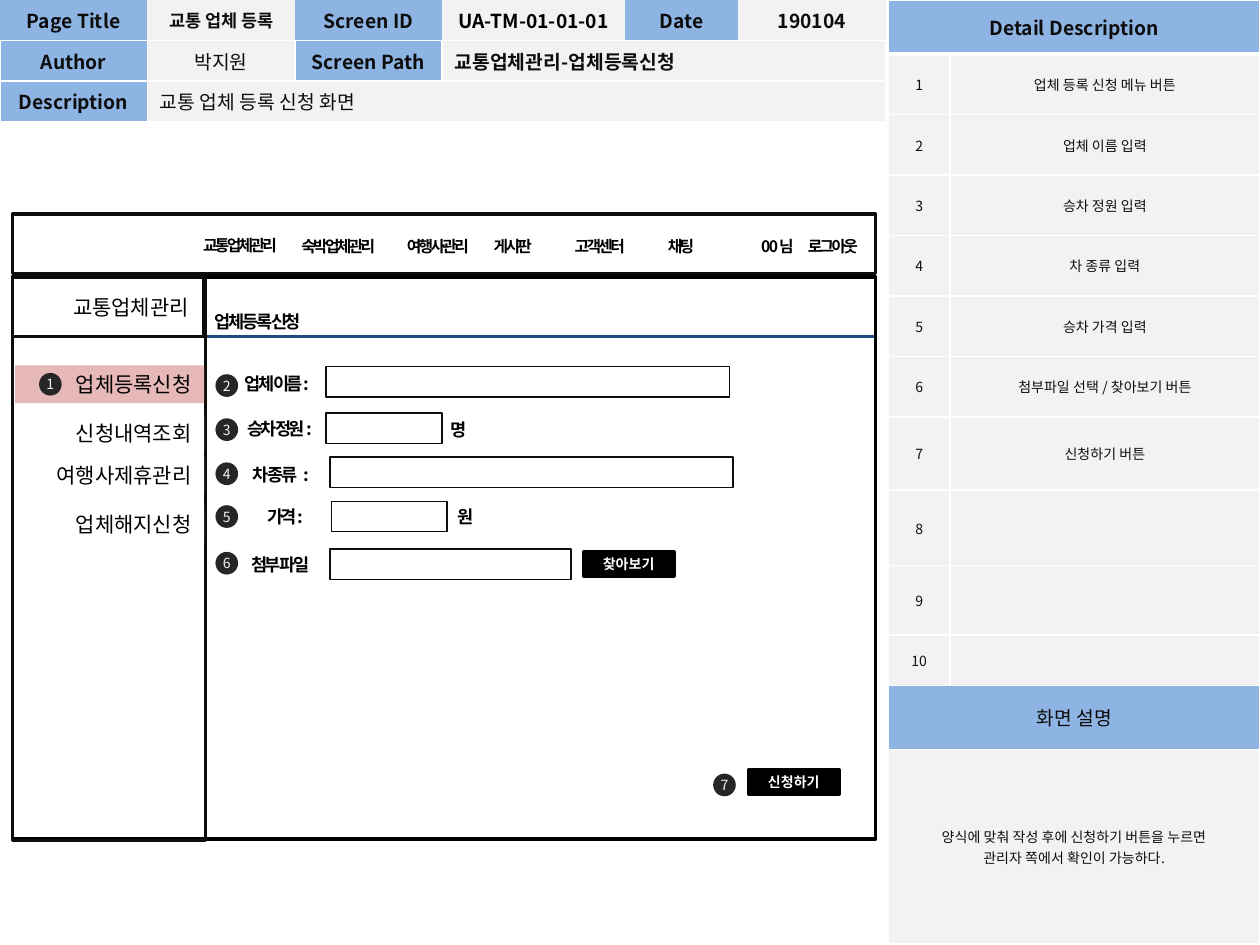
from dataclasses import dataclass

from lxml import etree
from pptx import Presentation
from pptx.dml.color import RGBColor
from pptx.enum.shapes import MSO_CONNECTOR, MSO_SHAPE
from pptx.enum.text import MSO_ANCHOR, MSO_AUTO_SIZE, PP_ALIGN
from pptx.oxml.ns import qn
from pptx.util import Inches, Pt

RECT, OVAL = MSO_SHAPE.RECTANGLE, MSO_SHAPE.OVAL
LEFT, CENTER, RIGHT = PP_ALIGN.LEFT, PP_ALIGN.CENTER, PP_ALIGN.RIGHT
MIDDLE = MSO_ANCHOR.MIDDLE
FIT_TEXT = MSO_AUTO_SIZE.SHAPE_TO_FIT_TEXT
NO_STYLE = "{2D5ABB26-0587-4C30-8999-92F81FD0307C}"


@dataclass(frozen=True)
class Theme:
    font: str = "Noto Sans CJK KR"
    black: str = "000000"
    ink: str = "0D0D0D"
    white: str = "FFFFFF"
    heading: str = "8EB4E3"
    panel: str = "F2F2F2"
    active: str = "E6B9B8"
    badge: str = "262626"
    rule: str = "1F497D"
    small: int = 8
    nav: int = 9
    label: int = 10
    title: int = 11
    menu: int = 12
    tight: float = -1.5


THEME = Theme()

prs = Presentation()
prs.slide_width, prs.slide_height = Inches(10), Inches(7.5)
COL, ROW = prs.slide_width / 100, prs.slide_height / 75
slide = prs.slides.add_slide(prs.slide_layouts[6])
shapes = slide.shapes


def write(frame, text, size=THEME.small, color=THEME.ink, bold=False,
          align=CENTER, spacing=0):
    """Fill a text frame; each line is a string or a list of (text, spacing) runs."""
    for index, line in enumerate(text if isinstance(text, tuple) else (text,)):
        paragraph = frame.add_paragraph() if index else frame.paragraphs[0]
        paragraph.alignment = align
        for words, gap in [(line, spacing)] if isinstance(line, str) else line:
            run = paragraph.add_run()
            run.text = words
            font = run.font
            font.size, font.bold, font.name = Pt(size), bold, THEME.font
            font.color.rgb = RGBColor.from_string(color)
            properties = run.font._element
            etree.SubElement(properties, qn("a:ea"), typeface=THEME.font)
            if gap:
                properties.set("spc", str(round(gap * 100)))


def draw(kind, left, top, width, height, fill=None, line=None, weight=1):
    """Add a preset shape placed on the grid of columns and rows."""
    shape = shapes.add_shape(kind, round(left * COL), round(top * ROW),
                             round(width * COL), round(height * ROW))
    shape.shadow.inherit = False
    if fill:
        shape.fill.solid()
        shape.fill.fore_color.rgb = RGBColor.from_string(fill)
    else:
        shape.fill.background()
    if line:
        shape.line.color.rgb = RGBColor.from_string(line)
        shape.line.width = Pt(weight)
    else:
        shape.line.fill.background()
    return shape


# Title rule of the form
title_rule = shapes.add_connector(MSO_CONNECTOR.STRAIGHT, round(16 * COL), round(26.7 * ROW),
                                  round(69.5 * COL), round(26.7 * ROW))
title_rule.line.color.rgb = RGBColor.from_string(THEME.rule)
title_rule.line.width = Pt(1.5)
etree.SubElement(title_rule._element.spPr, qn("a:effectLst"))

# Page information and detail description tables
page_info = [
    ["Page Title", "교통 업체 등록", "Screen ID", "UA-TM-01-01-01", "Date", "190104"],
    ["Author", "박지원", "Screen Path", "교통업체관리-업체등록신청", "", ""],
    ["Description", "교통 업체 등록 신청 화면", "", "", "", ""],
]
details = ["업체 등록 신청 메뉴 버튼", "업체 이름 입력", "승차 정원 입력", "차 종류 입력",
           "승차 가격 입력", "첨부파일 선택 / 찾아보기 버튼", "신청하기 버튼", "", "", ""]
explanation = ("양식에 맞춰 작성 후에 신청하기 버튼을 누르면", "관리자 쪽에서 확인이 가능하다.")
detail_rows = [["Detail Description", ""],
               *[[str(number), detail] for number, detail in enumerate(details, 1)],
               ["화면 설명", ""], [explanation, ""]]
plain_info = ("박지원", "교통 업체 등록 신청 화면")
headings = ("Detail Description", "화면 설명")

# left column, column widths, row heights, texts, merged ranges
tables = [
    (0, [11.7, 11.7, 11.7, 14.5, 9, 11.7], [3.1, 3.2, 3.2], page_info,
     [(1, 3, 5), (2, 1, 5)]),
    (70.5, [4.9, 24.6], [4.3] + [4.8] * 6 + [5.8, 6, 5.5, 4, 5.1, 15.4], detail_rows,
     [(0, 0, 1), (11, 0, 1), (12, 0, 1)]),
]
for left, widths, heights, texts, merges in tables:
    holder = shapes.add_table(len(heights), len(widths), round(left * COL), 0,
                              round(sum(widths) * COL), round(sum(heights) * ROW))
    table = holder.table
    next(holder._element.iter(qn("a:tableStyleId"))).text = NO_STYLE
    for column, width in zip(table.columns, widths):
        column.width = round(width * COL)
    for row, height in zip(table.rows, heights):
        row.height = round(height * ROW)
    for r, first, last in merges:
        table.cell(r, first).merge(table.cell(r, last))
    is_info = texts is page_info
    for r, row_texts in enumerate(texts):
        for c, text in enumerate(row_texts):
            cell = table.cell(r, c)
            cell.vertical_anchor = MIDDLE
            for side in ["B"] if is_info and r == 0 else "LRTB":
                weight = 3 if not is_info and r == 0 and side == "B" else 1
                edge = etree.SubElement(cell._tc.get_or_add_tcPr(), qn(f"a:ln{side}"),
                                        w=str(Pt(weight)))
                paint = etree.SubElement(edge, qn("a:solidFill"))
                etree.SubElement(paint, qn("a:srgbClr"), val=THEME.white)
            is_heading = text in headings or (is_info and c % 2 == 0 and text != "")
            cell.fill.solid()
            cell.fill.fore_color.rgb = RGBColor.from_string(
                THEME.heading if is_heading else THEME.panel)
            if not text:
                cell.text_frame.paragraphs[0].font.size = Pt(THEME.small)
                continue
            size = THEME.title if is_info or is_heading else THEME.small
            write(cell.text_frame, text,
                  size=THEME.label if text == "교통 업체 등록" else size,
                  color=THEME.black if text == "UA-TM-01-01-01" else THEME.ink,
                  bold=text == headings[0] or (is_info and text not in plain_info),
                  align=LEFT if is_info and cell.is_merge_origin else CENTER)

# Window frame, navigation bar and sidebar
draw(RECT, 1, 22, 68.5, 44.6, line=THEME.black, weight=2)
draw(RECT, 1, 17, 68.5, 4.7, line=THEME.ink, weight=2)
draw(RECT, 1, 22, 15.3, 44.7, line=THEME.ink, weight=2)
menu = [("업체등록신청", 29, THEME.active), ("신청내역조회", 32.9, THEME.white),
        ("여행사제휴관리", 36.2, THEME.white), ("업체해지신청", 40.1, THEME.white)]
for text, top, fill in menu:
    item = draw(RECT, 1.2, top, 15, 3, fill=fill)
    write(item.text_frame, text, size=THEME.menu, color=THEME.black, align=RIGHT)
sidebar_title = draw(RECT, 1, 22, 15.2, 4.7, line=THEME.ink, weight=2)
sidebar_title.text_frame.margin_right = round(1.2 * COL)
write(sidebar_title.text_frame, "교통업체관리", size=THEME.menu, color=THEME.black, align=RIGHT)

# Input fields
for left, top, width in [(25.9, 29.1, 32), (25.9, 32.8, 9.2), (26.2, 36.3, 32),
                         (26.3, 39.8, 9.2), (26.2, 43.6, 19.1)]:
    draw(RECT, left, top, width, 2.4, fill=THEME.white, line=THEME.ink)

# Navigation entries and form labels: text, left, top, width, size
labels = [
    ("교통업체관리", 14.9, 18.2, 8.3, THEME.nav),
    ("숙박업체관리", 22.7, 18.3, 8.3, THEME.nav),
    ("여행사관리", 31.1, 18.3, 7.3, THEME.nav),
    ("게시판", 38.1, 18.3, 5.2, THEME.nav),
    ("고객센터", 44.5, 18.3, 6.2, THEME.nav),
    ("채팅", 52, 18.3, 4.1, THEME.nav),
    ("0 0 님", 59.4, 18.3, 4.6, THEME.nav),
    ("로그아웃", 63, 18.3, 6.2, THEME.nav),
    ("업체 등록 신청", 15.6, 24.2, 9.7, THEME.label),
    ("업체 이름 :", 18.1, 29.1, 7.8, THEME.label),
    ("승차 정원 :", 18.3, 32.7, 7.8, THEME.label),
    ("명", 34.8, 32.8, 3.2, THEME.label),
    ([("차 종류", THEME.tight), (" ", 1.4), (":", THEME.tight)], 18.7, 36.3, 7.2, THEME.label),
    ("가격 :", 20.1, 39.7, 5.1, THEME.label),
    ("원", 35.3, 39.7, 3.2, THEME.label),
    ("첨부 파일", 18.7, 43.5, 7.1, THEME.label),
]
for text, left, top, width, size in labels:
    height = 2.5 if size == THEME.nav else 2.7
    label = shapes.add_textbox(round(left * COL), round(top * ROW),
                               round(width * COL), round(height * ROW))
    label.text_frame.word_wrap = text in ("채팅", "0 0 님")
    label.text_frame.auto_size = FIT_TEXT
    write(label.text_frame, text, size=size, color=THEME.black, bold=True,
          spacing=THEME.tight)

# Buttons
for text, left, top in [("찾아보기", 46.3, 43.8), ("신청하기", 59.4, 61.1)]:
    button = draw(RECT, left, top, 7.2, 1.9, fill=THEME.black, line=THEME.black, weight=2)
    write(button.text_frame, text, color=THEME.white, bold=True)

# Numbered badges that refer to the detail description
badges = [(3.1, 29.6), (17.1, 29.7), (17.1, 33.2), (17.1, 36.7),
          (17.1, 40.1), (17.1, 43.8), (56.6, 61.4)]
for number, (left, top) in enumerate(badges, 1):
    badge = draw(OVAL, left, top, 1.8, 1.8, fill=THEME.badge)
    frame = badge.text_frame
    frame.margin_left = frame.margin_right = frame.margin_top = frame.margin_bottom = 0
    frame.word_wrap = False
    write(frame, str(number), color=THEME.panel)

prs.save("out.pptx")
